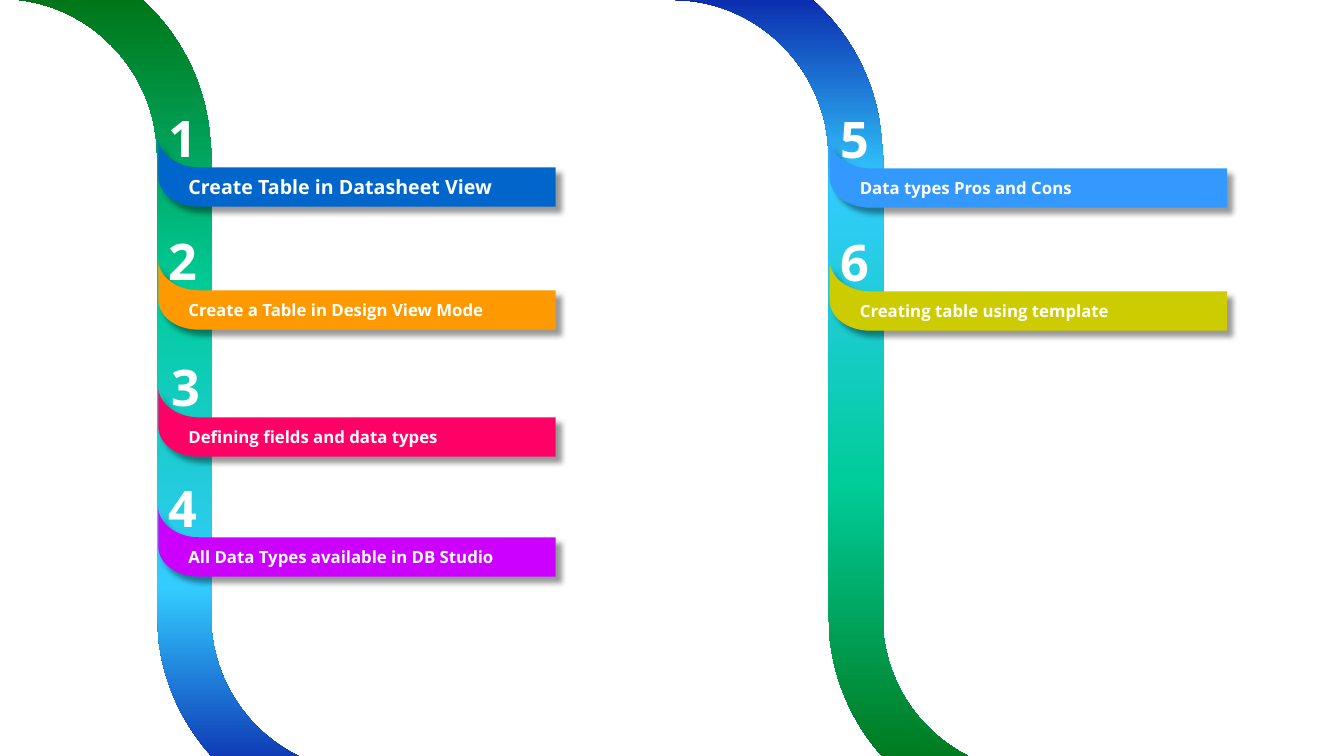
from lxml.etree import SubElement
from pptx import Presentation
from pptx.dml.color import RGBColor
from pptx.enum.text import MSO_AUTO_SIZE, PP_ALIGN
from pptx.oxml.ns import qn
from pptx.util import Inches, Pt

FONT = "Open Sans"
WHITE = RGBColor(0xFF, 0xFF, 0xFF)
BLACK = RGBColor(0x00, 0x00, 0x00)
BLUE = RGBColor(0x00, 0x66, 0xCC)
ORANGE = RGBColor(0xFF, 0x99, 0x00)
PINK = RGBColor(0xFF, 0x00, 0x66)
PURPLE = RGBColor(0xCC, 0x00, 0xFF)
SKY = RGBColor(0x33, 0x99, 0xFF)
OLIVE = RGBColor(0xCC, 0xCC, 0x00)
NAVY = RGBColor(0x00, 0x00, 0x99)
CYAN = RGBColor(0x33, 0xCC, 0xFF)
TEAL = RGBColor(0x00, 0xCC, 0x99)
GREEN = RGBColor(0x00, 0x66, 0x00)

# Content: (ribbon left, ribbon top, gradient angle, items)
# Each item: (tab top, number, number left, number top, label, label top, size, colour)
COLUMNS = [
    (0.01, -0.54, 270, [
        (1.36, "1", 1.46, 1.01, "Create Table in Datasheet View", 1.69, 14, BLUE),
        (2.58, "2", 1.46, 2.23, "Create a Table in Design View Mode", 2.92, 12, ORANGE),
        (3.84, "3", 1.49, 3.48, "Defining fields and data types", 4.18, 12, PINK),
        (5.03, "4", 1.46, 4.68, "All Data Types available in DB Studio", 5.37, 12, PURPLE),
    ]),
    (6.67, -0.53, 90, [
        (1.37, "5", 8.12, 1.02, "Data types Pros and Cons", 1.71, 12, SKY),
        (2.59, "6", 8.12, 2.24, "Creating table using template", 2.93, 12, OLIVE),
    ]),
]
RIBBON_STOPS = [(0, NAVY), (27, CYAN), (61, TEAL), (100, GREEN)]

# Outlines relative to their top left corner: a pair is a corner,
# a triple of pairs is a curve (two control points and an end)
RIBBON = [
    (0, 0), ((1.08, 0), (1.97, 0.82), (2.07, 1.87)), (2.09, 2.09),
    (2.09, 6.64), (2.09, 6.8), ((2.17, 7.59), (2.83, 8.2), (3.64, 8.2)),
    (3.64, 8.73), ((2.56, 8.73), (1.67, 7.91), (1.56, 6.86)), (1.55, 6.64),
    (1.55, 2.09), (1.54, 1.93), ((1.46, 1.15), (0.8, 0.53), (0, 0.53)),
]
TAB = [
    (0.4, 0.69), (3.94, 0.69), (3.94, 0.3), (0.4, 0.3),
    ((0.18, 0.3), (0, 0.16), (0, 0)), (0, 0.39),
    ((0, 0.56), (0.18, 0.69), (0.4, 0.69)),
]
TAB_DX = 1.56


def is_curve(part):
    return isinstance(part[0], tuple)


def add_outline(shapes, outline, left, top):
    points = []
    for part in outline:
        points.extend(part if is_curve(part) else [part])
    points = [(Inches(left + x), Inches(top + y)) for x, y in points]
    builder = shapes.build_freeform(*points[0])
    builder.add_line_segments(points[1:], close=True)
    sp = builder.convert_to_shape()

    # Gather the three points of each curve into one Bezier segment
    lines = iter(list(sp._element.iter(qn("a:lnTo"))))
    for part in outline[1:]:
        line = next(lines)
        if is_curve(part):
            line.addprevious(curve := line.makeelement(qn("a:cubicBezTo")))
            for step in (line, next(lines), next(lines)):
                curve.append(step[0])
                step.getparent().remove(step)

    sp.shadow.inherit = False
    sp.line.fill.background()
    return sp


def add_colour(parent, colour):
    return SubElement(parent, qn("a:srgbClr"), val=str(colour))


def set_gradient(sp, stops, angle):
    sp.fill.gradient()
    sp.fill.gradient_angle = 360 - angle
    stop_list = sp._element.spPr.find(qn("a:gradFill")).find(qn("a:gsLst"))
    for old in list(stop_list):
        stop_list.remove(old)
    for position, colour in stops:
        add_colour(SubElement(stop_list, qn("a:gs"), pos=str(position * 1000)), colour)


def set_shadow(sp):
    effects = sp._element.spPr.find(qn("a:effectLst"))
    shadow = SubElement(effects, qn("a:outerShdw"), blurRad=str(Pt(4)), dist=str(Pt(5)),
                        dir=str(45 * 60000), algn="tl", rotWithShape="0")
    SubElement(add_colour(shadow, BLACK), qn("a:alpha"), val="40000")


def add_text(shapes, text, box, size, align):
    sp = shapes.add_textbox(*map(Inches, box))
    tf = sp.text_frame
    tf.word_wrap = True
    tf.auto_size = MSO_AUTO_SIZE.SHAPE_TO_FIT_TEXT
    p = tf.paragraphs[0]
    p.alignment = align
    r = p.add_run()
    r.text = text
    r.font.name = FONT
    r.font.size = Pt(size)
    r.font.bold = True
    r.font.color.rgb = WHITE


prs = Presentation()
prs.slide_width, prs.slide_height = Inches(13.33), Inches(7.5)
s = prs.slides.add_slide(prs.slide_layouts[6])

for left, top, angle, items in COLUMNS:
    # Ribbon behind the tabs
    set_gradient(add_outline(s.shapes, RIBBON, left, top), RIBBON_STOPS, angle)

    tab_left = left + TAB_DX
    for tab_top, number, num_left, num_top, label, label_top, size, colour in items:
        # Folded tab with its label
        group = s.shapes.add_group_shape()
        tab = add_outline(group.shapes, TAB, tab_left, tab_top)
        tab.fill.solid()
        tab.fill.fore_color.rgb = colour
        set_shadow(tab)
        height = 0.34 if size == 14 else 0.3
        add_text(group.shapes, label, (tab_left + 0.2, label_top, 3.74, height),
                 size, PP_ALIGN.LEFT)

        # Number on the ribbon
        add_text(s.shapes, number, (num_left, num_top, 0.71, 0.71), 36, PP_ALIGN.CENTER)

prs.save("out.pptx")
